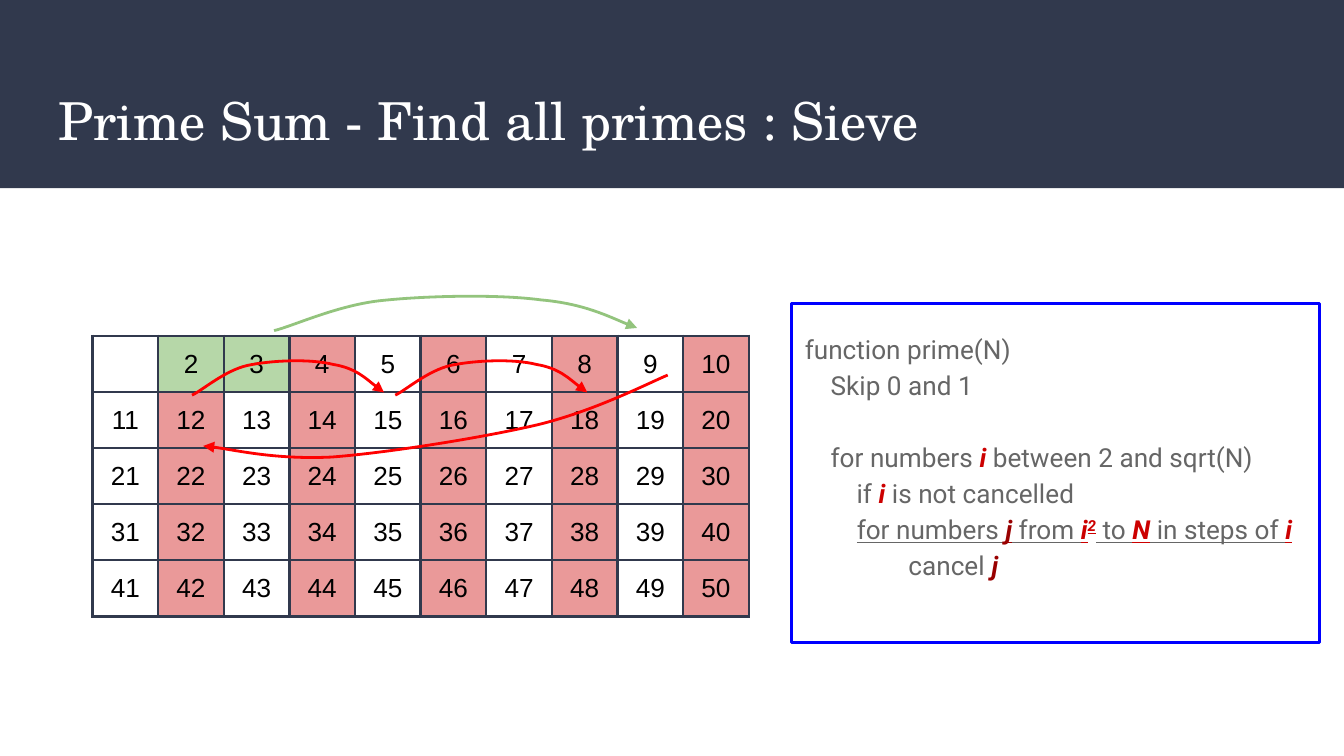
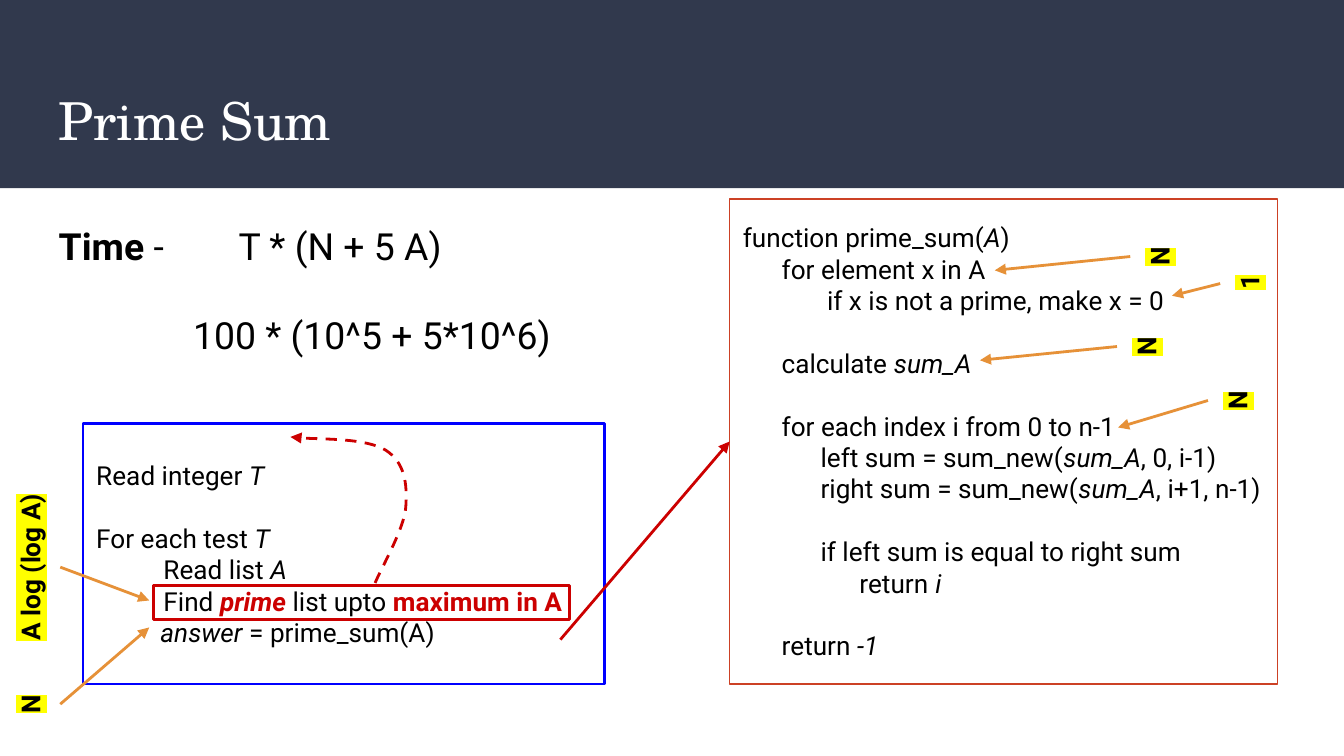
from itertools import chain

from lxml.etree import SubElement
from pptx import Presentation
from pptx.dml.color import RGBColor
from pptx.enum.dml import MSO_LINE
from pptx.enum.shapes import MSO_CONNECTOR, MSO_SHAPE
from pptx.enum.text import MSO_ANCHOR, MSO_AUTO_SIZE, PP_ALIGN
from pptx.oxml import parse_xml
from pptx.oxml.ns import nsdecls, qn
from pptx.util import Cm, Pt

NAVY, WHITE, BLACK, GREY = "31394D", "FFFFFF", "000000", "666666"
RED, MAROON, BLUE, BRICK = "CC0000", "990000", "0000FF", "CC4125"
PINK, MINT, GREEN, BRIGHT = "EA9999", "B6D7A8", "93C47D", "FF0000"
ORANGE, YELLOW = "E69138", "FFFF00"
NO_STYLE = "{2D5ABB26-0587-4C30-8999-92F81FD0307C}"
HOP = [(0, 0), (0.18, -0.08), (0.61, -0.46), (1.04, -0.56), (1.5, -0.66),
       (2.24, -0.69), (2.67, -0.58), (3.1, -0.51), (3.48, -0.15), (3.63, -0.05)]


def rgb(code):
    return RGBColor.from_string(code)


def hop(x, y, scale=1):
    return [(x + dx * scale, y + dy) for dx, dy in HOP]


class Deck:
    serif, sans = "TeX Gyre Schola", "Roboto"
    inset = Cm(0.25)

    def __init__(self):
        self.file = Presentation()
        self.file.slide_width, self.file.slide_height = Cm(25.4), Cm(14.29)
        self.layout = self.file.slide_layouts[5]
        self.slide = None

    def start(self, title):
        first = self.slide is None
        self.slide = self.file.slides.add_slide(self.layout)
        self.shapes = self.slide.shapes
        if first:
            band = self.box((0, 0, 25.4, 3.56), fill=NAVY)
            self.layout.shapes.element.insert(2, band.element)
        head = self.shapes.title
        head.left, head.top, head.width, head.height = map(Cm, (0.86, 1.4, 23.67, 1.73))
        self.text(head, [[title]], 28, WHITE, self.serif)

    def style(self, run, marks, size, color, font):
        face = run.font
        face.name, face.size = font, Pt(size)
        face.color.rgb = rgb(color)
        face.bold, face.italic = "b" in marks, "i" in marks
        if "u" in marks:
            face.underline = True
        if "^" in marks:
            run._r.get_or_add_rPr().set("baseline", "30000")

    def text(self, shape, lines, size=14, color=BLACK, font=sans, gap=0, space=1):
        frame = shape.text_frame
        frame.word_wrap = True
        frame.vertical_anchor = MSO_ANCHOR.MIDDLE
        frame.margin_left = frame.margin_right = self.inset
        frame.margin_top = frame.margin_bottom = self.inset
        paras = []
        for index, line in enumerate(lines):
            if line is None:
                continue
            para = frame.add_paragraph() if paras else frame.paragraphs[0]
            para.alignment = PP_ALIGN.LEFT
            para.line_spacing = space
            if index and lines[index - 1] is None:
                para.space_before = Pt(gap)
            for part in line:
                words, marks, tint = (part, "", color) if isinstance(part, str) else part
                run = para.add_run()
                run.text = words
                self.style(run, marks, size, tint, font)
            paras.append(para)
        return paras

    def box(self, area, line=None, weight=1.5, fill=None):
        shape = self.shapes.add_shape(MSO_SHAPE.RECTANGLE, *map(Cm, area))
        self.paint(shape, line, weight, fill)
        return shape

    def paint(self, shape, line, weight=1.5, fill=None):
        shape.shadow.inherit = False
        if fill:
            shape.fill.solid()
            shape.fill.fore_color.rgb = rgb(fill)
        else:
            shape.fill.background()
        if line:
            self.stroke(shape, line, weight)
        else:
            shape.line.fill.background()

    def stroke(self, shape, color, weight=1.5):
        shape.line.color.rgb = rgb(color)
        shape.line.width = Pt(weight)

    def point(self, shape):
        line = next(shape.element.iter(qn("a:ln")))
        SubElement(line, qn("a:tailEnd"), type="triangle")

    def arrow(self, start, end, color, target=None, side=1):
        link = self.shapes.add_connector(MSO_CONNECTOR.STRAIGHT, *map(Cm, start + end))
        if target is not None:
            link.end_connect(target, side)
        self.stroke(link, color)
        self.point(link)
        SubElement(link.element.spPr, qn("a:effectLst"))

    def curve(self, points, color, dash=False):
        spots = [(Cm(x), Cm(y)) for x, y in points]
        pen = self.shapes.build_freeform(*spots[0])
        pen.add_line_segments(spots[1:], close=False)
        shape = pen.convert_to_shape()
        track = next(shape.element.iter(qn("a:path")))
        steps = track.findall(qn("a:lnTo"))
        for first in range(0, len(steps), 3):
            bend = SubElement(track, qn("a:cubicBezTo"))
            for step in steps[first:first + 3]:
                bend.append(step[0])
                track.remove(step)
        self.paint(shape, color)
        if dash:
            shape.line.dash_style = MSO_LINE.DASH
        self.point(shape)

    def note(self, words, width, start, end):
        side = 0.56 if start[0] > end[0] else -0.56
        left, top = start[0] + side - width / 2, start[1] - 0.56
        label = self.shapes.add_textbox(*map(Cm, (left, top, width, 1.12)))
        label.rotation = 270
        para = self.text(label, [[(words, "b", BLACK)]])[0]
        para.alignment = PP_ALIGN.CENTER
        label.text_frame.vertical_anchor = MSO_ANCHOR.TOP
        label.text_frame.auto_size = MSO_AUTO_SIZE.SHAPE_TO_FIT_TEXT
        fill = next(label.element.iter(qn("a:solidFill")))
        fill.addnext(parse_xml(f'<a:highlight {nsdecls("a")}>'
                               f'<a:srgbClr val="{YELLOW}"/></a:highlight>'))
        self.arrow(start, end, ORANGE)

    def grid(self, area, rows, cols):
        frame = self.shapes.add_table(rows, cols, *map(Cm, area))
        table = frame.table
        table.first_row = table.horz_banding = False
        next(frame.element.iter(qn("a:tableStyleId"))).text = NO_STYLE
        for num, cell in enumerate(table.iter_cells(), 1):
            cell.vertical_anchor = MSO_ANCHOR.MIDDLE
            cell.margin_left = cell.margin_right = self.inset
            cell.margin_top = cell.margin_bottom = Cm(0.1)
            if num in (2, 3) or num % 2 == 0:
                cell.fill.solid()
                cell.fill.fore_color.rgb = rgb(MINT if num < 4 else PINK)
            else:
                cell.fill.background()
            if num > 1:
                para = cell.text_frame.paragraphs[0]
                para.alignment = PP_ALIGN.CENTER
                run = para.add_run()
                run.text = str(num)
                self.style(run, "", 14, BLACK, "Arial")
        for props in frame.element.iter(qn("a:tcPr")):
            for place, edge in enumerate(("lnL", "lnR", "lnT", "lnB")):
                props.insert(place, parse_xml(
                    f'<a:{edge} {nsdecls("a")} w="{Pt(1.5)}"><a:solidFill>'
                    f'<a:srgbClr val="{NAVY}"/></a:solidFill></a:{edge}>'))


def sieve(deck):
    deck.start("Prime Sum - Find all primes : Sieve")
    deck.grid((1.75, 6.35, 12.4, 5.3), 5, 10)
    code = deck.box((14.96, 5.74, 9.98, 6.4), BLUE)
    i, j = ("i", "bi", RED), ("j", "bi", MAROON)
    under = ("i", "biu", RED)
    deck.text(code, [
        ["function prime(N)"],
        ["    Skip 0 and 1"],
        None,
        ["    for numbers ", i, " between 2 and sqrt(N)"],
        ["        if ", i, " is not cancelled"],
        ["        ", ("for numbers ", "u", GREY), ("j", "biu", MAROON),
         (" from ", "u", GREY), under, ("2", "biu^", RED), (" to ", "u", GREY),
         ("N", "biu", RED), (" in steps of ", "u", GREY), under],
        ["                cancel ", j],
    ], color=GREY, gap=19.3, space=1.15)
    code.text_frame.margin_bottom = Cm(0.93)
    deck.curve(hop(5.18, 6.25, 1.89), GREEN)
    deck.curve([(12.62, 7.09), (12.22, 7.26), (11.23, 7.77), (10.16, 8.03),
                (9.09, 8.28), (7.32, 8.56), (6.27, 8.64), (5.21, 8.69),
                (4.24, 8.46), (3.84, 8.43)], BRIGHT)
    for x in (3.63, 7.47):
        deck.curve(hop(x, 7.47), BRIGHT)


def cost(deck):
    deck.start("Prime Sum")
    total = ("sum_A", "i", BLACK)
    code = deck.box((13.79, 3.76, 10.36, 9.17), BRICK, 0.75)
    deck.text(code, [
        ["function prime_sum(", ("A", "i", BLACK), ")"],
        ["      for element x in A"],
        ["             if x is not a prime, make x = 0"],
        None,
        ["      calculate ", total],
        None,
        ["      for each index i from 0 to n-1"],
        ["            left sum = sum_new(", total, ", 0, i-1)"],
        ["            right sum = sum_new(", total, ", i+1, n-1)"],
        None,
        ["            if left sum is equal to right sum"],
        ["                  return ", ("i", "i", BLACK)],
        None,
        ["      return ", ("-1", "i", BLACK)],
    ], gap=16.8)

    main_box = deck.box((1.57, 8, 9.86, 4.93), BLUE)
    paras = deck.text(main_box, [
        ["Read integer ", ("T", "i", BLACK)],
        None,
        ["For each test ", ("T", "i", BLACK)],
        ["Read list ", ("A", "i", BLACK)],
        ["Find ", ("prime ", "bi", RED), "list upto ", ("maximum in A", "b", RED)],
        [("          answer ", "i", BLACK), "= prime_sum(A)"],
    ], gap=16.8)
    for para in paras[2:4]:
        para._p.get_or_add_pPr().set("indent", str(Cm(1.27)))
    deck.arrow((10.59, 12.09), (13.79, 8.34), RED, code)

    right = [("N", 1.27, (21.36, 4.85), (18.8, 5.11)),
             ("1", 0.74, (23.06, 5.36), (22.15, 5.59)),
             ("N", 1.27, (21.11, 6.55), (18.52, 6.81)),
             ("N", 1.27, (22.83, 7.57), (21.13, 8.08))]
    left = [("A log (log A)", 3.94, (1.14, 10.72), (2.82, 11.35)),
            ("N", 1.27, (1.14, 13.31), (2.82, 11.86))]
    for item in chain(right, left):
        deck.note(*item)

    time = deck.shapes.add_textbox(*map(Cm, (0.86, 4.01, 10.95, 2.95)))
    top, low = deck.text(time, [
        [("Time ", "b", BLACK), "-\tT * (N + 5 A)"],
        None,
        ["100 * (10^5 + 5*10^6)"],
    ], 20, gap=24)
    tabs = SubElement(top._p.get_or_add_pPr(), qn("a:tabLst"))
    SubElement(tabs, qn("a:tab"), pos=str(Cm(3.4)), algn="l")
    low._p.get_or_add_pPr().set("marL", str(Cm(2.54)))

    deck.box((2.9, 11.07, 7.87, 0.64), RED)
    deck.curve([(7.09, 11.02), (7.19, 10.77), (7.65, 9.98), (7.67, 9.58),
                (7.7, 9.14), (7.65, 8.74), (7.29, 8.51), (6.91, 8.28),
                (5.79, 8.31), (5.49, 8.26)], RED, True)


def main():
    deck = Deck()
    sieve(deck)
    cost(deck)
    deck.file.save("out.pptx")


if __name__ == "__main__":
    main()
